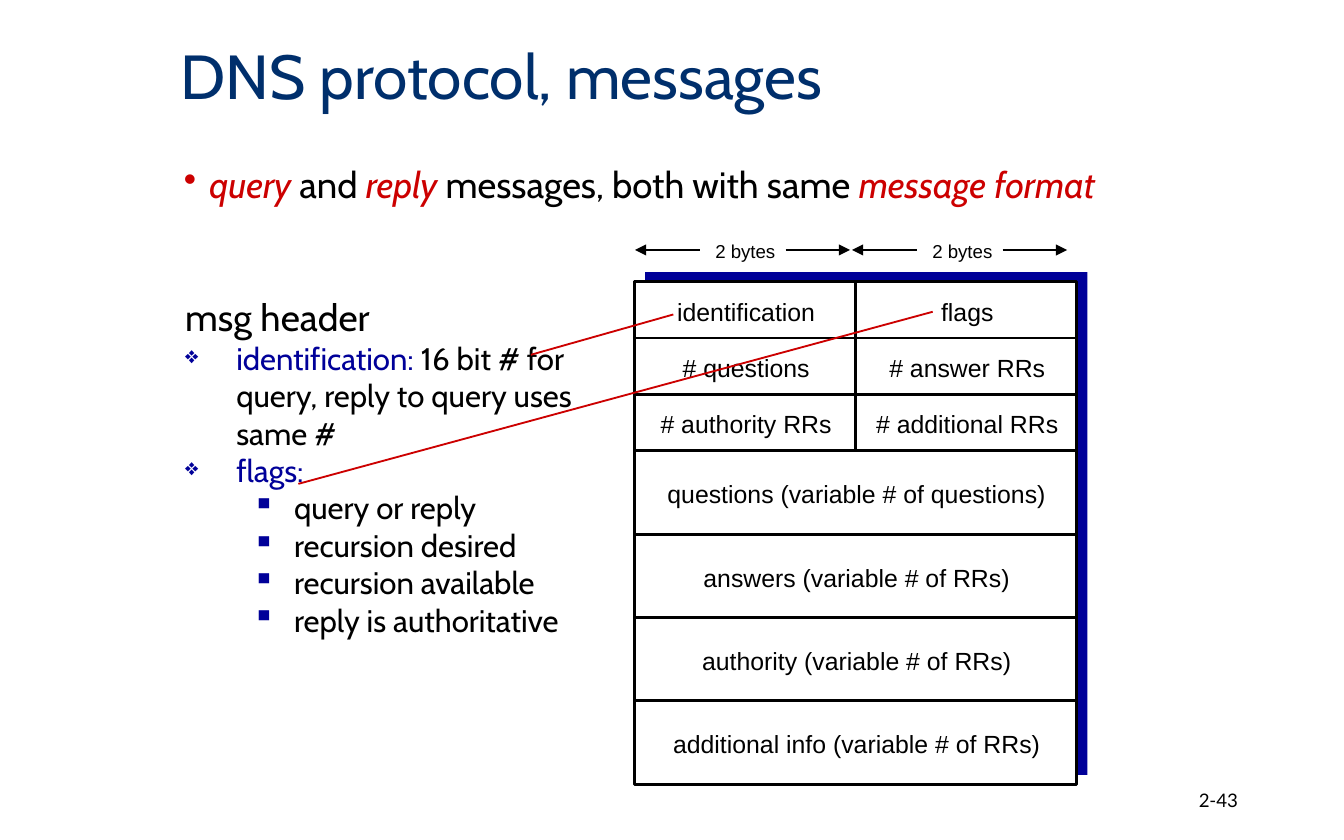
import pptx
import pptx.util
import pptx.dml.color
import pptx.enum.shapes
import pptx.enum.text
import pptx.oxml.ns
from lxml import etree

UNIT = pptx.util.Inches(0.1)  # the page is a grid of 100 columns by 62.5 rows
BLACK, RED, BLUE, NAVY, WHITE = "000000", "CC0000", "000099", "002F6C", "FFFFFF"
ALIGN = pptx.enum.text.PP_ALIGN
ANCHOR = pptx.enum.text.MSO_ANCHOR
qn = pptx.oxml.ns.qn


def color(code):
    return pptx.dml.color.RGBColor.from_string(code)


def write(shape, area, paragraphs, font, wrap=True, anchor=ANCHOR.TOP):
    """Place a shape and fill it: each paragraph is (format, bullet, spans)."""
    for name, value in zip(("left", "top", "width", "height"), area):
        setattr(shape, name, round(value * UNIT))
    frame = shape.text_frame
    settings = {"word_wrap": wrap, "vertical_anchor": anchor,
                "auto_size": pptx.enum.text.MSO_AUTO_SIZE.NONE}
    for name, value in settings.items():
        setattr(frame, name, value)
    for index, (layout, bullet, spans) in enumerate(paragraphs):
        para = frame.paragraphs[0] if index == 0 else frame.add_paragraph()
        if bullet:
            sign, tint, percent, margin, hang = bullet
            props = para._p.get_or_add_pPr()
            props.set("marL", str(round(margin * UNIT)))
            props.set("indent", str(round(-hang * UNIT)))
            fill = etree.SubElement(props, qn("a:buClr"))
            etree.SubElement(fill, qn("a:srgbClr"), val=tint)
            etree.SubElement(props, qn("a:buSzPct"), val=str(percent * 1000))
            etree.SubElement(props, qn("a:buChar"), char=sign)
        for name, value in layout.items():
            setattr(para, name, value)
        for text, size, tint, italic in spans:
            span = para.add_run()
            span.text = text
            formats = {"name": font, "size": pptx.util.Pt(size), "italic": italic}
            for name, value in formats.items():
                setattr(span.font, name, value)
            span.font.color.rgb = color(tint)


deck = pptx.Presentation()
deck.slide_width, deck.slide_height = 100 * UNIT, round(62.5 * UNIT)
page = deck.slides.add_slide(deck.slide_layouts[5])
shapes = page.shapes

# Title
write(shapes.title, (12.4, 2, 70.8, 7.8),
      [({"alignment": ALIGN.LEFT, "line_spacing": 0.9}, None,
        [("DNS protocol, messages", 33.3, NAVY, False)])],
      "Cabin", anchor=ANCHOR.MIDDLE)

# Page number
write(shapes.add_textbox(0, 0, 0, 0), (70.6, 57.9, 22.5, 3.3),
      [({"alignment": ALIGN.RIGHT}, None, [("2-43", 10, BLACK, False)])],
      "Lato", anchor=ANCHOR.MIDDLE)

# Opening statement
write(shapes.add_textbox(0, 0, 0, 0), (12.7, 12.2, 71.3, 4.7),
      [({"line_spacing": 0.8}, ("•", RED, 100, 1.9, 1.9),
        [("query ", 19.6, RED, True), ("and ", 19.6, BLACK, False),
         ("reply", 19.6, RED, True),
         (" messages, both with same ", 19.6, BLACK, False),
         ("message format", 19.6, RED, True)])], "Cabin")

# Header fields
diamond = ("❖", BLUE, 75, 3.8, 3.8)
square = ("▪", BLUE, 100, 8.1, 3.1)
fields = [
    ({}, None, [("msg header", 20, BLACK, False)]),
    ({}, diamond, [("identification:", 16.7, BLUE, False),
                   (" 16 bit # for query, reply to query uses same #", 16.7, BLACK, False)]),
    ({}, diamond, [("flags:", 16.7, BLUE, False)]),
]
for flag in ("query or reply", "recursion desired", "recursion available",
             "reply is authoritative"):
    fields.append(({"level": 1}, square, [(flag, 16.7, BLACK, False)]))
write(shapes.add_textbox(0, 0, 0, 0), (12.8, 21.4, 32.6, 35), fields, "Cabin")

# Message frame: three split rows, then four full-width rows
left, top, column, short, tall = 47.2, 20.95, 16.45, 4.2, 6.2
width, height = 2 * column, 3 * short + 4 * tall
for x, y, fill in ((left + 0.8, top - 0.7, BLUE), (left, top, WHITE)):
    box = shapes.add_shape(pptx.enum.shapes.MSO_SHAPE.RECTANGLE, round(x * UNIT),
                           round(y * UNIT), round(width * UNIT), round(height * UNIT))
    box.shadow.inherit = False
    box.fill.solid()
    box.fill.fore_color.rgb = color(fill)
    if fill == BLUE:
        box.line.fill.background()
    else:
        box.line.color.rgb = color(BLACK)
        box.line.width = pptx.util.Pt(1.5)

# Row labels, with the rules between rows collected on the way
rows = [("identification", "flags"), ("# questions", "# answer RRs"),
        ("# authority RRs", "# additional RRs"),
        ("questions (variable # of questions)",), ("answers (variable # of RRs)",),
        ("authority (variable # of RRs)",), ("additional info (variable # of RRs)",)]
lines = []  # x1, y1, x2, y2, colour, points, arrow
y = top
for labels in rows:
    row = short if len(labels) == 2 else tall
    if y > top:
        lines.append((left, y, left + width, y, BLACK, 1.5, False))
    cell = width / len(labels)
    for index, label in enumerate(labels):
        write(shapes.add_textbox(0, 0, 0, 0), (left + index * cell + 0.1, y + 0.1, cell, row),
              [({"alignment": ALIGN.CENTER}, None, [(label, 13.3, BLACK, False)])],
              "Arial", wrap=False, anchor=ANCHOR.MIDDLE)
    y += row
lines.append((left + column, top, left + column, top + 3 * short, BLACK, 1.5, False))

# Pointers from the list to the fields
lines += [(39.5, 26.4, 50.1, 23.4, RED, 1, False), (22.2, 36, 69.4, 23.2, RED, 1, False)]

# Column widths
for middle in (55.25, 71.4):
    write(shapes.add_textbox(0, 0, 0, 0), (middle - 3.05, 17.3, 6.5, 2.7),
          [({"alignment": ALIGN.CENTER}, None, [("2 bytes", 10, BLACK, False)])],
          "Arial", wrap=False, anchor=ANCHOR.MIDDLE)
    for side in (-1, 1):
        lines.append((middle + side * 3.2, 18.6, middle + side * 8, 18.6, BLACK, 0.75, True))

# All rules, pointers and arrows
for x1, y1, x2, y2, tint, points, arrow in lines:
    line = shapes.add_connector(pptx.enum.shapes.MSO_CONNECTOR.STRAIGHT,
                                *(round(value * UNIT) for value in (x1, y1, x2, y2)))
    line.line.color.rgb = color(tint)
    line.line.width = pptx.util.Pt(points)
    if arrow:
        etree.SubElement(line.line._get_or_add_ln(), qn("a:tailEnd"), type="triangle")
    etree.SubElement(line._element.spPr, qn("a:effectLst"))

deck.save("out.pptx")
